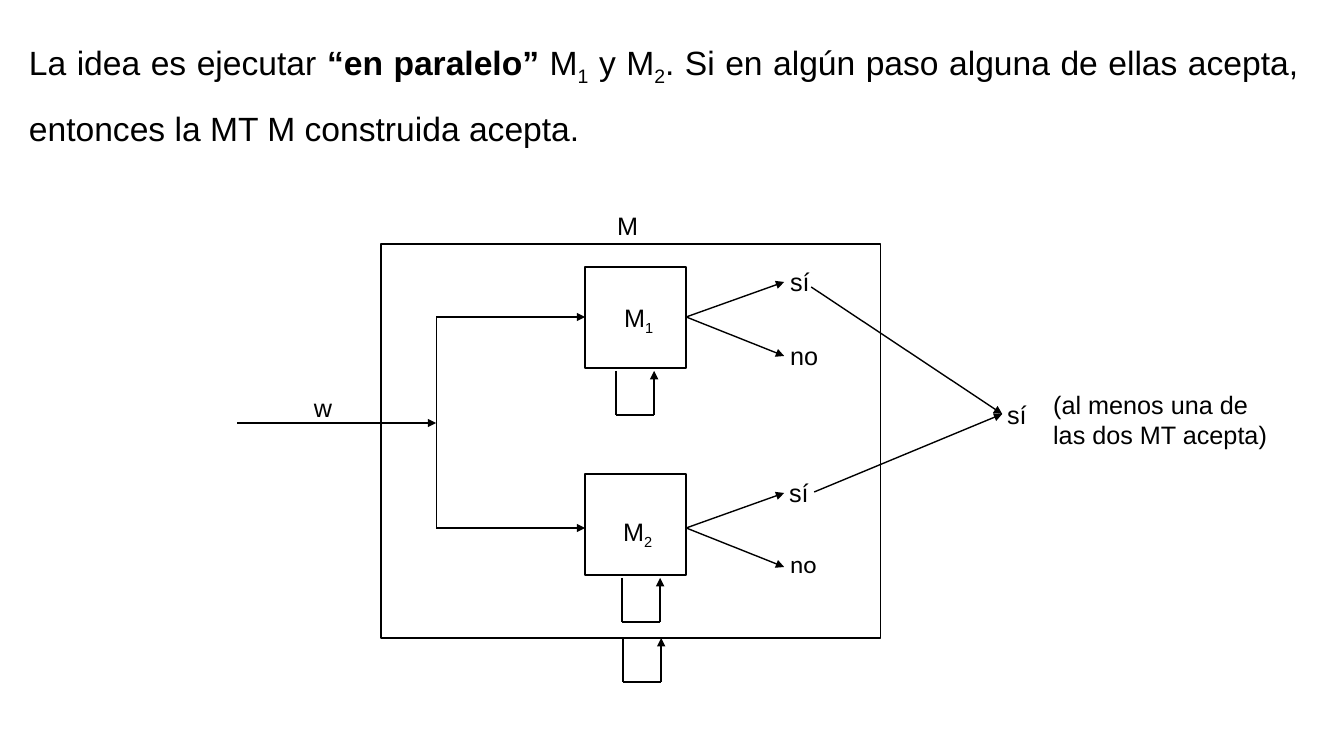
from pptx import Presentation, util as u
from pptx.dml.color import RGBColor
from pptx.enum import shapes, text
from pptx.oxml.ns import qn
from lxml import etree

PX = 914400 / 100.8
BLACK = "000000"

# Content: a run is (text, style), with style "b" bold, "sub" subscript or ""
HEADING = [[("La idea es ejecutar ", ""), ("“en paralelo” ", "b"), ("M", ""), ("1", "sub"),
            (" y M", ""), ("2", "sub"),
            (". Si en algún paso alguna de ellas acepta, entonces la MT M construida acepta.", "")]]
NOTE = [[("(al menos una de ", "")], [("las dos MT acepta)", "")]]

# Labels: runs, left, top, width, font
LABELS = [
    ([("M", "")], 607, 205, 42, "Arial"),
    ([("w", "")], 304, 387, 38, "Arial"),
    ([("M", ""), ("1", "sub")], 614, 297, 51, "Arial"),
    ([("M", ""), ("2", "sub")], 613, 511, 51, "Arial"),
    ([("sí", "")], 780, 261, 40, "Arial"),
    ([("no", "")], 780, 335, 48, "Arial"),
    ([("sí", "")], 779, 472, 40, "Arial"),
    ([("no", "")], 780, 543, 48, "Calibri"),
    ([("sí", "")], 997, 394, 40, "Arial"),
]

# Diagram geometry
OUTER = (381, 244, 499, 394)
SIDE, BOX_X, BOX_TOPS = 101, 585, (267, 474)
FORK_X, INPUT_X, INPUT_Y = 436, 237, 423
PORTS = (317, 528)                      # heights where M1 and M2 are entered and left
ANSWER_X, YES_DY, NO_DY = 784, -35, 39
ACCEPT, YES_EXITS = (1002, 414), ((811, 287), (814, 492))
LOOPS, LOOP_W, LOOP_H = ((616, 371), (622, 578), (623, 638)), 38, 44

prs = Presentation()
prs.slide_width, prs.slide_height = u.Inches(13.33), u.Inches(7.5)
slide = prs.slides.add_slide(prs.slide_layouts[6])


def px(*values):
    return [u.Emu(round(v * PX)) for v in values]


def color(hex_code):
    return RGBColor.from_string(hex_code)


def add_text(paragraphs, box, size=18, font="Arial", wrap=True, **para_format):
    tf = slide.shapes.add_textbox(*px(*box)).text_frame
    tf.word_wrap = wrap
    for i, runs in enumerate(paragraphs):
        p = tf.paragraphs[0] if i == 0 else tf.add_paragraph()
        for name, value in para_format.items():
            setattr(p, name, value)
        for words, style in runs:
            r = p.add_run()
            r.text = words
            look = {"name": font, "size": u.Pt(size), "bold": style == "b"}
            for name, value in look.items():
                setattr(r.font, name, value)
            r.font.color.rgb = color(BLACK)
            if style == "sub":
                r._r.get_or_add_rPr().set("baseline", "-25000")


def add_box(kind, box):
    sp = slide.shapes.add_shape(kind, *px(*box))
    sp.shadow.inherit = False
    sp.fill.background()
    sp.line.color.rgb = color(BLACK)
    sp.line.width = u.Pt(1)


def add_line(start, end, arrow=True, width=1):
    sp = slide.shapes.add_connector(shapes.MSO_CONNECTOR.STRAIGHT, *px(*start, *end))
    sp.line.color.rgb = color(BLACK)
    sp.line.width = u.Pt(width)
    if arrow:
        etree.SubElement(sp.line._get_or_add_ln(), qn("a:tailEnd"), type="triangle")
    etree.SubElement(sp._element.spPr, qn("a:effectLst"))


# Heading and note
add_text(HEADING, (19, 14, 1289, 125), size=24,
         alignment=text.PP_ALIGN.JUSTIFY, line_spacing=1.5)
add_text(NOTE, (1043, 384, 279, 72))

# Machine M with M1 and M2 inside
add_box(shapes.MSO_SHAPE.FLOWCHART_PROCESS, OUTER)
for top in BOX_TOPS:
    add_box(shapes.MSO_SHAPE.RECTANGLE, (BOX_X, top, SIDE, SIDE))

# Input w, forked to both machines
add_line((INPUT_X, INPUT_Y), (FORK_X, INPUT_Y))
add_line((FORK_X, PORTS[0]), (FORK_X, PORTS[1]), arrow=False, width=0.5)

# Entry, answers and final acceptance of each machine
for y, yes_exit in zip(PORTS, YES_EXITS):
    add_line((FORK_X, y), (BOX_X, y))
    for dy in (YES_DY, NO_DY):
        add_line((BOX_X + SIDE, y), (ANSWER_X, y + dy))
    add_line(yes_exit, ACCEPT)

# Endless loops under M1, M2 and M
for x, y in LOOPS:
    corners = [(x, y), (x, y + LOOP_H), (x + LOOP_W, y + LOOP_H), (x + LOOP_W, y)]
    for i in range(3):
        add_line(corners[i], corners[i + 1], arrow=i == 2)

# Labels
for runs, left, top, width, font in LABELS:
    add_text([runs], (left, top, width, 40), font=font, wrap=False)

prs.save("out.pptx")
